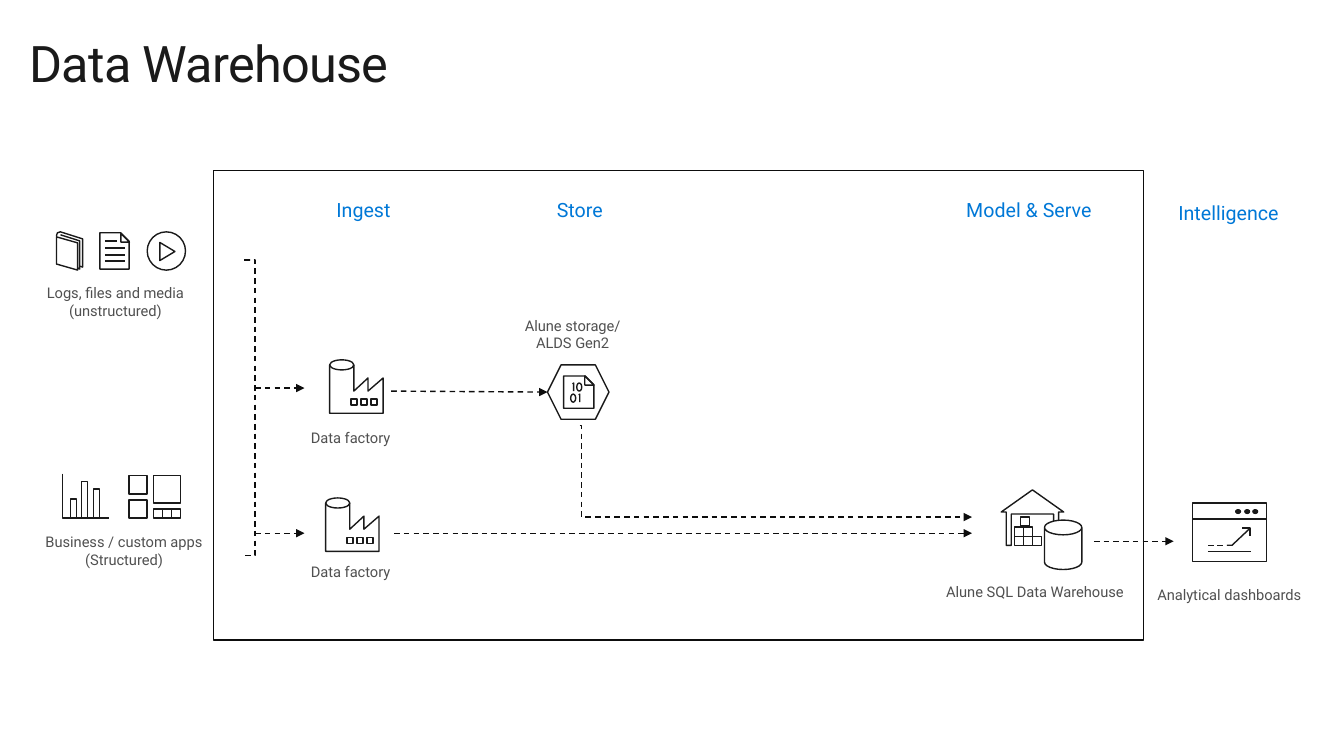
"""Build the data warehouse architecture slide."""
from dataclasses import dataclass

from lxml.etree import SubElement
from pptx import Presentation
from pptx.dml.color import RGBColor
from pptx.enum.dml import MSO_LINE
from pptx.enum.shapes import MSO_CONNECTOR, MSO_SHAPE
from pptx.enum.text import MSO_ANCHOR, MSO_AUTO_SIZE, PP_ALIGN
from pptx.oxml.ns import qn
from pptx.util import Cm, Pt


@dataclass(frozen=True)
class Theme:
    font: str = "Roboto"
    ink: str = "1A1A1A"
    flow: str = "0D0D0D"
    label: str = "505050"
    accent: str = "0078D7"
    paper: str = "FFFFFF"
    title_size: float = 36
    heading_size: float = 14
    label_size: float = 10.5
    stroke: float = 1


def length(inches):
    return Cm(inches * 2.54)


def write_text(frame, text, *, font, size, color, align=PP_ALIGN.CENTER, inset=None, tracking=None):
    frame.word_wrap = True
    frame.auto_size = MSO_AUTO_SIZE.SHAPE_TO_FIT_TEXT
    frame.vertical_anchor = MSO_ANCHOR.TOP
    if inset is not None:
        frame.margin_left = frame.margin_right = length(inset)
        frame.margin_top = frame.margin_bottom = length(inset)
    frame.text = text
    for paragraph in frame.paragraphs:
        paragraph.alignment = align
        for run in paragraph.runs:
            run.font.name = font
            run.font.size = Pt(size)
            run.font.color.rgb = RGBColor.from_string(color)
            if tracking is not None:
                run.font._element.set("spc", str(round(tracking * 100)))


class Diagram:
    """Hold the theme and the current slide, and draw its elements."""

    def __init__(self, slide, theme):
        self.slide = slide
        self.theme = theme
        self.shapes = slide.shapes

    def start_icon(self):
        self.shapes = self.slide.shapes.add_group_shape().shapes

    def end_icon(self):
        self.shapes = self.slide.shapes

    def title(self, text, *box):
        heading = self.slide.shapes.title
        heading.left, heading.top, heading.width, heading.height = map(length, box)
        write_text(heading.text_frame, text, font=self.theme.font, size=self.theme.title_size,
                   color=self.theme.ink, align=PP_ALIGN.LEFT, inset=0, tracking=-0.5)

    def text(self, text, *box, **style):
        caption = self.shapes.add_textbox(*map(length, box))
        style = {"size": self.theme.label_size, "color": self.theme.label, **style}
        write_text(caption.text_frame, text, font=self.theme.font, **style)

    def heading(self, text, *box):
        self.text(text, *box, size=self.theme.heading_size, color=self.theme.accent)

    def finish(self, shape, fill=None, line=None):
        shape.shadow.inherit = False
        if fill:
            shape.fill.solid()
            shape.fill.fore_color.rgb = RGBColor.from_string(fill)
        else:
            shape.fill.background()
        shape.line.color.rgb = RGBColor.from_string(line or self.theme.ink)
        shape.line.width = Pt(self.theme.stroke)
        return shape

    def shape(self, preset, *box, fill=None, line=None, adjust=None, rotation=0):
        shape = self.finish(self.shapes.add_shape(preset, *map(length, box)), fill, line)
        shape.rotation = rotation
        if adjust is not None:
            shape.adjustments[0] = adjust
        return shape

    def rect(self, *box, **style):
        return self.shape(MSO_SHAPE.RECTANGLE, *box, **style)

    def outline(self, *strokes, close=False):
        paths = [[(length(x), length(y)) for x, y in stroke] for stroke in strokes]
        builder = self.shapes.build_freeform(*paths[0][0])
        for index, path in enumerate(paths):
            if index:
                builder.move_to(*path[0])
            builder.add_line_segments(path[1:], close=close)
        self.finish(builder.convert_to_shape())

    def line(self, *ends, color=None, kind=MSO_CONNECTOR.STRAIGHT):
        connector = self.shapes.add_connector(kind, *map(length, ends))
        connector.line.color.rgb = RGBColor.from_string(color or self.theme.ink)
        connector.line.width = Pt(self.theme.stroke)
        SubElement(connector._element.spPr, qn("a:effectLst"))
        return connector

    def arrow(self, *ends, bend=None):
        kind = MSO_CONNECTOR.STRAIGHT if bend is None else MSO_CONNECTOR.ELBOW
        connector = self.line(*ends, color=self.theme.flow, kind=kind)
        connector.line.dash_style = MSO_LINE.DASH
        SubElement(connector.line._get_or_add_ln(), qn("a:tailEnd"), type="triangle")
        if bend is not None:
            guides = connector._element.spPr.prstGeom.get_or_add_avLst()
            SubElement(guides, qn("a:gd"), name="adj1", fmla=f"val {round(bend * 100000)}")

    def factory(self, left, top):
        self.start_icon()
        for column in range(3):
            self.rect(left + 0.21 + column * 0.1, top + 0.39, 0.06, 0.06)
        profile = [(0.24, 0.05), (0.24, 0.31), (0.38, 0.18), (0.38, 0.31),
                   (0.53, 0.18), (0.53, 0.53), (0, 0.53), (0, 0.05)]
        self.outline([(left + x, top + y) for x, y in profile])
        self.shape(MSO_SHAPE.OVAL, left, top, 0.24, 0.1, fill=self.theme.paper)
        self.end_icon()

    def business_apps(self):
        self.start_icon()
        for left, top, side in ((1.28, 4.96, 0.18), (1.52, 4.72, 0.27), (1.28, 4.72, 0.18)):
            self.rect(left, top, side, side)
        self.rect(1.52, 5.05, 0.27, 0.09)
        for x in (1.61, 1.7):
            self.line(x, 5.05, x, 5.14)
        self.outline([(0.62, 4.7), (0.62, 5.14), (1.08, 5.14)])
        for left, height in ((0.7, 0.19), (0.81, 0.36), (0.93, 0.29)):
            self.rect(left, 5.14 - height, 0.06, height)
        self.end_icon()

    def files_and_media(self):
        self.start_icon()
        self.outline([(0.79, 2.64), (0.82, 2.65), (0.82, 2.37), (0.6, 2.3), (0.57, 2.31), (0.56, 2.34)])
        self.outline([(0.6, 2.33), (0.79, 2.39), (0.79, 2.67), (0.77, 2.66)])
        self.outline([(0.77, 2.41), (0.77, 2.68), (0.56, 2.62), (0.56, 2.35)], close=True)
        self.shape(MSO_SHAPE.SNIP_1_RECTANGLE, 0.99, 2.31, 0.29, 0.36, adjust=0.287)
        self.shape(MSO_SHAPE.ISOSCELES_TRIANGLE, 1.16, 2.35, 0.12, 0.06, rotation=225)
        for right, y in ((1.16, 2.39), (1.24, 2.46), (1.24, 2.53), (1.24, 2.59)):
            self.line(1.04, y, right, y)
        self.shape(MSO_SHAPE.OVAL, 1.46, 2.3, 0.38, 0.38)
        self.shape(MSO_SHAPE.ISOSCELES_TRIANGLE, 1.57, 2.42, 0.18, 0.15, rotation=90)
        self.end_icon()

    def storage(self):
        self.start_icon()
        self.shape(MSO_SHAPE.HEXAGON, 5.43, 3.62, 0.61, 0.54)
        self.shape(MSO_SHAPE.SNIP_1_RECTANGLE, 5.59, 3.73, 0.3, 0.32, adjust=0.287)
        for zero_left, one_left, top in ((5.72, 5.68, 3.8), (5.66, 5.74, 3.91)):
            self.shape(MSO_SHAPE.OVAL, zero_left, top, 0.05, 0.08)
            self.outline([(one_left + 0.01, top + 0.08), (one_left + 0.01, top), (one_left, top + 0.01)])
        self.shape(MSO_SHAPE.RIGHT_TRIANGLE, 5.8, 3.73, 0.09, 0.09)
        self.end_icon()

    def warehouse(self):
        self.start_icon()
        self.outline([(10.24, 4.86), (10.55, 5.08), (10.5, 5.08), (10.5, 5.41), (10.45, 5.41), (10.45, 5.1),
                      (10.03, 5.1), (10.03, 5.41), (9.98, 5.41), (9.98, 5.08), (9.93, 5.08)], close=True)
        for left, top, count in ((10.06, 5.32, 3), (10.06, 5.23, 2), (10.12, 5.13, 1)):
            for crate in range(count):
                self.rect(left + crate * 0.09, top, 0.09, 0.09)
        self.shape(MSO_SHAPE.CAN, 10.36, 5.16, 0.37, 0.49, fill=self.theme.paper, adjust=0.395)
        self.end_icon()

    def dashboard(self):
        self.start_icon()
        self.outline([(12.32, 5.24), (12.4, 5.24), (12.4, 5.32)], [(12.4, 5.24), (12.22, 5.41), (12.17, 5.41)],
                     [(11.98, 5.47), (12.41, 5.47)], [(12.13, 5.41), (12.07, 5.41)],
                     [(12.04, 5.41), (11.98, 5.41)])
        self.rect(11.83, 4.99, 0.73, 0.58)
        self.line(12.56, 5.15, 11.83, 5.15)
        for left in (12.25, 12.34, 12.42):
            dot = self.shape(MSO_SHAPE.OVAL, left, 5.05, 0.06, 0.05, fill=self.theme.ink)
            dot.line.fill.background()
        self.end_icon()


def main():
    theme = Theme()
    deck = Presentation()
    deck.slide_width, deck.slide_height = length(13.33), length(7.5)
    diagram = Diagram(deck.slides.add_slide(deck.slide_layouts[5]), theme)
    diagram.title("Data Warehouse", 0.29, 0.32, 12.75, 0.61)
    sources = diagram.shape(MSO_SHAPE.RIGHT_BRACKET, 2.42, 2.58, 0.11, 2.93,
                            fill=theme.paper, line=theme.flow, adjust=0)
    sources.line.dash_style = MSO_LINE.DASH
    diagram.text("Business / custom apps\n(Structured)", 0.34, 5.24, 1.78, 0.45)
    diagram.text("Logs, files and media\v(unstructured)", 0.34, 2.77, 1.61, 0.45)
    diagram.text("Alune storage/ ALDS Gen2", 5.08, 3.09, 1.2, 0.45)
    diagram.text("Alune SQL Data Warehouse", 9.21, 5.73, 2.11, 0.28)
    diagram.text("Analytical dashboards", 11.38, 5.76, 1.66, 0.28, align=PP_ALIGN.LEFT)
    for label_top, left, top in ((4.2, 3.27, 3.57), (5.53, 3.23, 4.94)):
        diagram.text("Data factory ", 2.92, label_top, 1.15, 0.28)
        diagram.factory(left, top)
    diagram.business_apps()
    diagram.files_and_media()
    diagram.storage()
    diagram.warehouse()
    diagram.dashboard()
    diagram.arrow(5.75, 4.22, 9.64, 5.13, bend=0.004)
    for ends in ((10.85, 5.37, 11.64, 5.37), (3.91, 5.29, 9.64, 5.29), (3.88, 3.88, 5.43, 3.89),
                 (2.53, 3.85, 3.02, 3.85), (2.53, 5.29, 3.02, 5.29)):
        diagram.arrow(*ends)
    diagram.rect(2.12, 1.69, 9.22, 4.66, line=theme.flow)
    for stage, left, top, width in (("Model & Serve", 9.42, 1.91, 1.57), ("Store", 4.99, 1.91, 1.52),
                                    ("Ingest", 2.85, 1.91, 1.51), ("Intelligence", 11.4, 1.94, 1.57)):
        diagram.heading(stage, left, top, width, 0.34)
    deck.save("out.pptx")


if __name__ == "__main__":
    main()
